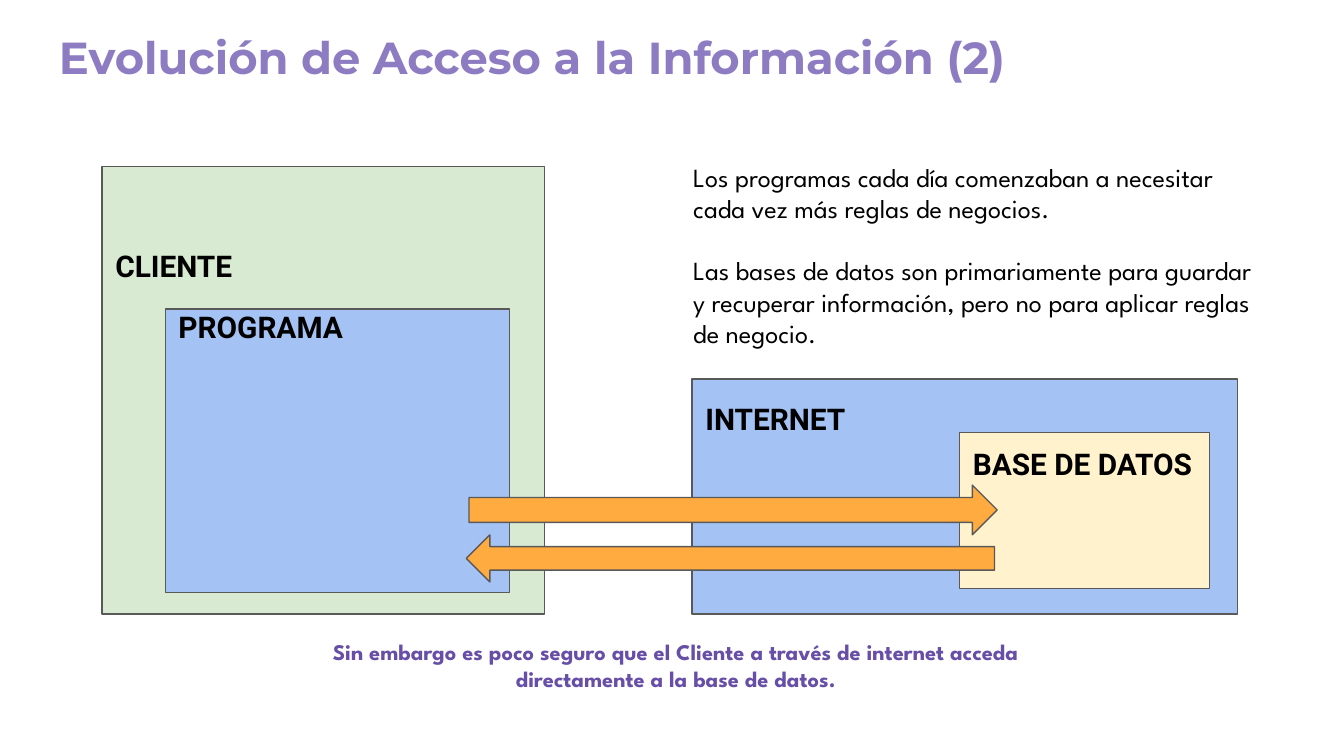
from dataclasses import dataclass

from pptx import Presentation
from pptx.dml.color import RGBColor
from pptx.enum.shapes import MSO_SHAPE
from pptx.enum.text import MSO_ANCHOR, PP_ALIGN
from pptx.shapes.autoshape import Shape
from pptx.slide import Slide
from pptx.util import Inches, Pt

BLACK = RGBColor(0x00, 0x00, 0x00)
LAVENDER = RGBColor(0x8E, 0x7C, 0xC3)
PURPLE = RGBColor(0x67, 0x4E, 0xA7)
BLUE = RGBColor(0xA4, 0xC2, 0xF4)
GREEN = RGBColor(0xD9, 0xEA, 0xD3)
CREAM = RGBColor(0xFF, 0xF2, 0xCC)
ORANGE = RGBColor(0xFF, 0xAB, 0x40)
OUTLINE = RGBColor(0x59, 0x59, 0x59)
INSET = 0.1
SLIDE_WIDTH = 10


@dataclass(frozen=True)
class Area:
    left: float
    top: float
    width: float
    height: float

    def lengths(self) -> tuple[int, int, int, int]:
        return (Inches(self.left), Inches(self.top),
                Inches(self.width), Inches(self.height))


@dataclass(frozen=True)
class TextStyle:
    font: str
    size: float
    color: RGBColor
    bold: bool = False
    align: PP_ALIGN = PP_ALIGN.LEFT
    gap: float = 0


@dataclass(frozen=True)
class Zone:
    label: str
    area: Area
    color: RGBColor
    label_offset: float


@dataclass(frozen=True)
class Flow:
    direction: MSO_SHAPE
    area: Area


@dataclass(frozen=True)
class Passage:
    paragraphs: tuple[str, ...]
    area: Area
    style: TextStyle


LABEL = TextStyle("Roboto", 16, BLACK, bold=True)

INTERNET = Zone("INTERNET", Area(5.15, 2.82, 4.06, 1.75), BLUE, 0.16)
CLIENT = Zone("CLIENTE", Area(0.76, 1.24, 3.29, 3.33), GREEN, 0.6)
DATABASE = Zone("BASE DE DATOS", Area(7.14, 3.22, 1.86, 1.16), CREAM, 0.1)
PROGRAM = Zone("PROGRAMA", Area(1.23, 2.3, 2.56, 2.11), BLUE, 0)

TITLE = Passage(
    ("Evolución de Acceso a la Información (2)",),
    Area(0.34, 0.12, 9.32, 0.63),
    TextStyle("Montserrat", 24, LAVENDER, bold=True),
)
EXPLANATION = Passage(
    ("Los programas cada día comenzaban a necesitar cada vez más "
     "reglas de negocios.",
     "Las bases de datos son primariamente para guardar y recuperar "
     "información, pero no para aplicar reglas de negocio."),
    Area(5.06, 1.1, 4.36, 1.62),
    TextStyle("League Spartan", 14, BLACK, gap=16.5),
)
WARNING = Passage(
    ("Sin embargo es poco seguro que el Cliente a través de internet "
     "acceda directamente a la base de datos.",),
    Area(2.18, 4.65, 5.7, 0.61),
    TextStyle("League Spartan", 12, PURPLE, bold=True,
              align=PP_ALIGN.CENTER),
)

FLOWS = (
    Flow(MSO_SHAPE.RIGHT_ARROW, Area(3.49, 3.61, 3.93, 0.37)),
    Flow(MSO_SHAPE.LEFT_ARROW, Area(3.47, 3.98, 3.93, 0.35)),
)


def write(holder: Shape, paragraphs: tuple[str, ...], style: TextStyle,
          top_inset: float = INSET) -> None:
    frame = holder.text_frame
    frame.word_wrap = True
    frame.vertical_anchor = MSO_ANCHOR.TOP
    frame.margin_left = frame.margin_right = Inches(INSET)
    frame.margin_bottom = Inches(INSET)
    frame.margin_top = Inches(top_inset)
    for index, wording in enumerate(paragraphs):
        paragraph = frame.add_paragraph() if index else frame.paragraphs[0]
        paragraph.text = wording
        paragraph.alignment = style.align
        if index:
            paragraph.space_before = Pt(style.gap)
        paragraph.font.name = style.font
        paragraph.font.size = Pt(style.size)
        paragraph.font.bold = style.bold
        paragraph.font.color.rgb = style.color


def draw_figure(slide: Slide, preset: MSO_SHAPE, area: Area,
                color: RGBColor) -> Shape:
    figure = slide.shapes.add_shape(preset, *area.lengths())
    figure.shadow.inherit = False
    figure.fill.solid()
    figure.fill.fore_color.rgb = color
    figure.line.color.rgb = OUTLINE
    figure.line.width = Pt(0.75)
    return figure


def draw_zone(slide: Slide, zone: Zone) -> None:
    panel = draw_figure(slide, MSO_SHAPE.RECTANGLE, zone.area, zone.color)
    write(panel, (zone.label,), LABEL, zone.label_offset)


def draw_passage(slide: Slide, passage: Passage) -> None:
    holder = slide.shapes.add_textbox(*passage.area.lengths())
    write(holder, passage.paragraphs, passage.style)


def main() -> None:
    presentation = Presentation()
    presentation.slide_width = Inches(SLIDE_WIDTH)
    presentation.slide_height = Inches(SLIDE_WIDTH * 9 / 16)
    slide = presentation.slides.add_slide(presentation.slide_layouts[6])
    draw_zone(slide, INTERNET)
    draw_passage(slide, TITLE)
    draw_zone(slide, CLIENT)
    draw_zone(slide, DATABASE)
    draw_passage(slide, EXPLANATION)
    draw_zone(slide, PROGRAM)
    draw_passage(slide, WARNING)
    for flow in FLOWS:
        draw_figure(slide, flow.direction, flow.area, ORANGE)
    presentation.save("out.pptx")


if __name__ == "__main__":
    main()
